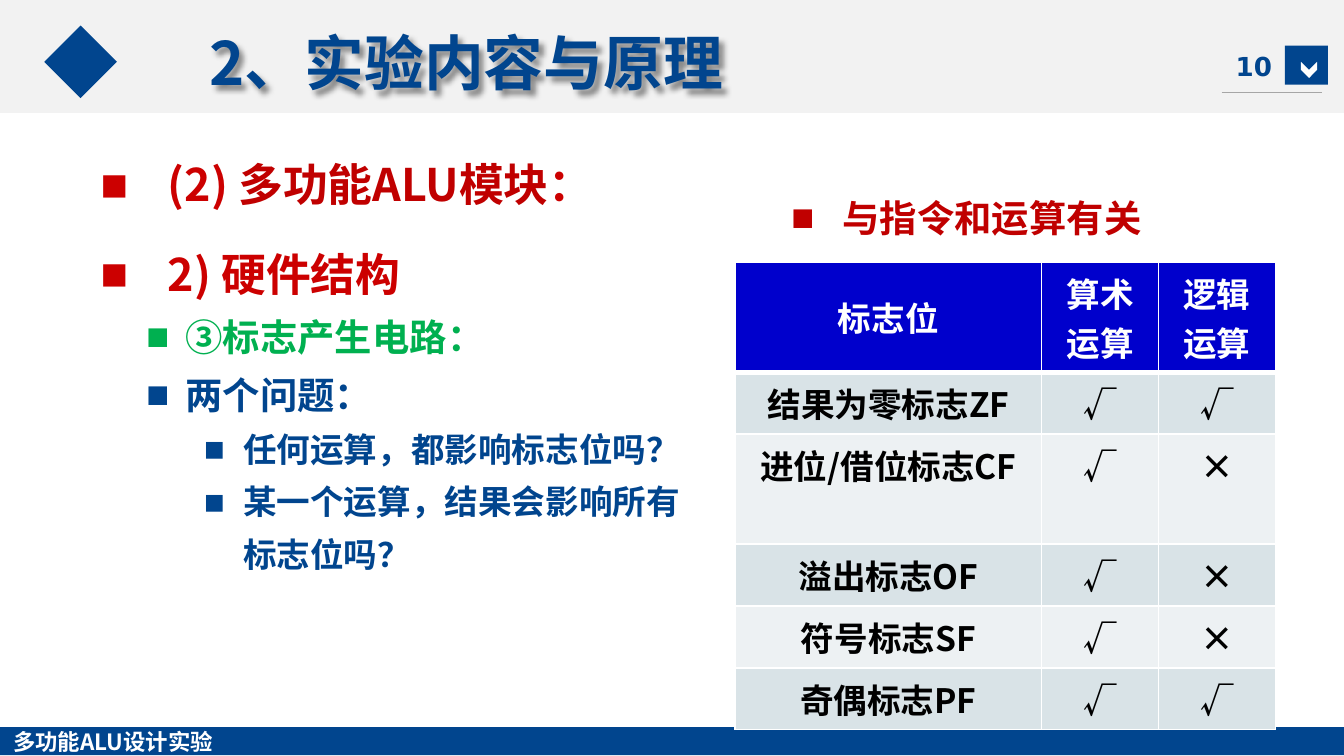
from lxml import etree
from pptx import Presentation
from pptx.dml.color import RGBColor
from pptx.enum.shapes import MSO_CONNECTOR, MSO_SHAPE
from pptx.enum.text import MSO_ANCHOR, PP_ALIGN
from pptx.oxml.ns import qn
from pptx.util import Inches, Pt

RECTANGLE, CHEVRON, DIAMOND = MSO_SHAPE.RECTANGLE, MSO_SHAPE.CHEVRON, MSO_SHAPE.DIAMOND
STRAIGHT = MSO_CONNECTOR.STRAIGHT
TOP, MIDDLE = MSO_ANCHOR.TOP, MSO_ANCHOR.MIDDLE
LEFT, CENTER = PP_ALIGN.LEFT, PP_ALIGN.CENTER
TITLE_ONLY = 5
SANS, NUMERAL = "Noto Sans CJK SC", "DejaVu Sans"
COLORS = {
    "navy": "01458E", "band": "F2F2F2", "rule": "A6A6A6", "white": "FFFFFF",
    "red": "CC0000", "dark red": "C00000", "green": "00B050", "black": "000000",
    "header": "0000CC", "odd": "D9E3E7", "even": "EDF1F3",
}
LEVELS = [
    {"size": 24, "left": 0.56, "hang": 0.5, "spacing": 1.5, "before": 4.8},
    {"size": 20, "left": 0.69, "hang": 0.29, "spacing": 1.3, "before": 0},
    {"size": 18, "left": 1.12, "hang": 0.29, "spacing": 1.3, "before": 0},
]
NOTE_LEVEL = {"size": 20, "left": 0.38, "hang": 0.38, "spacing": 1, "before": 0}
OUTLINE = [
    (0, [("(2) ", "red"), ("多功能ALU模块", "dark red"), ("：", "red")]),
    (0, [("2) 硬件结构", "red")]),
    (1, [("③标志产生电路：", "green")]),
    (1, [("两个问题：", "navy")]),
    (2, [("任何运算，都影响标志位吗？", "navy")]),
    (2, [("某一个运算，结果会影响所有标志位吗？", "navy")]),
]
FLAGS = [
    ("标志位", "算术运算", "逻辑运算"),
    ("结果为零标志ZF", "√", "√"),
    ("进位/借位标志CF", "√", "×"),
    ("溢出标志OF", "√", "×"),
    ("符号标志SF", "√", "×"),
    ("奇偶标志PF", "√", "√"),
]
ONE_LINE, TWO_LINES = 0.46, 0.82
FLAG_HEIGHTS = [TWO_LINES, ONE_LINE, TWO_LINES, ONE_LINE, ONE_LINE, ONE_LINE]


def rgb(name):
    return RGBColor.from_string(COLORS[name])


class SlideBuilder:
    def __init__(self, page):
        self.page = page

    def span(self, para, text, size, color, font=SANS):
        span = para.add_run()
        span.text = text
        for name, value in {"size": Pt(size), "bold": True, "name": font}.items():
            setattr(span.font, name, value)
        span.font.color.rgb = rgb(color)
        latin = span.font._element.find(qn("a:latin"))
        latin.addnext(etree.Element(qn("a:ea"), typeface=font))

    def shape(self, kind, box, color, rotation=0):
        shape = self.page.shapes.add_shape(kind, *map(Inches, box))
        shape.shadow.inherit = False
        shape.fill.solid()
        shape.fill.fore_color.rgb = rgb(color)
        shape.line.fill.background()
        shape.rotation = rotation
        return shape

    def line(self, start, end, color, width):
        line = self.page.shapes.add_connector(STRAIGHT, *map(Inches, start + end))
        line.line.color.rgb = rgb(color)
        line.line.width = Pt(width)
        etree.SubElement(line._element.spPr, qn("a:effectLst"))

    def text_box(self, box, anchor=TOP):
        frame = self.page.shapes.add_textbox(*map(Inches, box)).text_frame
        frame.word_wrap = True
        frame.vertical_anchor = anchor
        return frame

    def title(self, text, box):
        title = self.page.shapes.title
        for name, value in zip(("left", "top", "width", "height"), box):
            setattr(title, name, Inches(value))
        title.text_frame.vertical_anchor = MIDDLE
        para = title.text_frame.paragraphs[0]
        para.alignment = LEFT
        self.span(para, text, 32, "navy")
        title.fill.background()
        effects = etree.SubElement(title._element.spPr, qn("a:effectLst"))
        shadow = etree.SubElement(effects, qn("a:outerShdw"), blurRad="38100",
                                  dist="38100", dir="2700000", algn="tl")
        shade = etree.SubElement(shadow, qn("a:srgbClr"), val=COLORS["black"])
        etree.SubElement(shade, qn("a:alpha"), val="43000")

    def bullets(self, frame, items):
        for index, (level, parts) in enumerate(items):
            para = frame.add_paragraph() if index else frame.paragraphs[0]
            para.line_spacing = level["spacing"]
            if index:
                para.space_before = Pt(level["before"])
            properties = para._p.get_or_add_pPr()
            properties.set("marL", str(Inches(level["left"])))
            properties.set("indent", str(-Inches(level["hang"])))
            for tag, name, value in (("a:buSzPct", "val", "65000"),
                                     ("a:buFont", "typeface", NUMERAL),
                                     ("a:buChar", "char", "■")):
                etree.SubElement(properties, qn(tag)).set(name, value)
            for text, color in parts:
                self.span(para, text, level["size"], color)

    def borders(self, cell, widths):
        properties = cell._tc.get_or_add_tcPr()
        for index, (side, width) in enumerate(widths.items()):
            edge = etree.Element(qn("a:" + side), w=str(Pt(width)))
            fill = etree.SubElement(edge, qn("a:solidFill"))
            etree.SubElement(fill, qn("a:srgbClr"), val=COLORS["white"])
            properties.insert(index, edge)

    def table(self, rows, corner, widths, heights):
        size = (sum(widths), sum(heights))
        table = self.page.shapes.add_table(len(rows), len(widths),
                                           *map(Inches, corner + size)).table
        for column, width in zip(table.columns, widths):
            column.width = Inches(width)
        for r, values in enumerate(rows):
            table.rows[r].height = Inches(heights[r])
            for c, text in enumerate(values):
                cell = table.cell(r, c)
                cell.fill.solid()
                cell.fill.fore_color.rgb = rgb(("even", "odd")[r % 2] if r else "header")
                cell.vertical_anchor = TOP if r or c else MIDDLE
                para = cell.text_frame.paragraphs[0]
                para.alignment = CENTER
                self.span(para, text, 18, "black" if r else "white")
                self.borders(cell, {"lnL": 1, "lnR": 1, "lnT": 3 if r == 1 else 1,
                                    "lnB": 1 if r else 3})


def main():
    deck = Presentation()
    deck.slide_width = Inches(10)
    deck.slide_height = deck.slide_width * 9 // 16
    builder = SlideBuilder(deck.slides.add_slide(deck.slide_layouts[TITLE_ONLY]))

    header = builder.shape(RECTANGLE, (0, 0, 10, 0.84), "band")
    header._element.addnext(builder.page.shapes.title._element)
    builder.title("2、实验内容与原理", (1.46, 0.15, 7.4, 0.62))

    footer = builder.shape(RECTANGLE, (0, 5.41, 10, 0.21), "navy").text_frame
    footer.vertical_anchor = MIDDLE
    footer.paragraphs[0].alignment = LEFT
    builder.span(footer.paragraphs[0], "多功能ALU设计实验", 12, "white")

    builder.shape(DIAMOND, (0.33, 0.19, 0.54, 0.54), "navy")
    builder.shape(RECTANGLE, (9.56, 0.34, 0.32, 0.29), "navy")
    builder.shape(CHEVRON, (9.68, 0.46, 0.12, 0.12), "white", 90)
    builder.line((9.09, 0.69), (9.84, 0.69), "rule", 0.75)

    number = builder.text_box((9.09, 0.34, 0.48, 0.3), MIDDLE)
    number.paragraphs[0].alignment = CENTER
    builder.span(number.paragraphs[0], "10", 14, "navy", NUMERAL)

    outline = builder.text_box((0.59, 0.92, 4.65, 4.33))
    builder.bullets(outline, [(LEVELS[level], parts) for level, parts in OUTLINE])

    builder.table(FLAGS, (5.47, 1.95), (2.28, 0.87, 0.87), FLAG_HEIGHTS)
    note = builder.text_box((5.79, 1.4, 3.2, 0.44))
    builder.bullets(note, [(NOTE_LEVEL, [("与指令和运算有关", "dark red")])])

    deck.save("out.pptx")


if __name__ == "__main__":
    main()
